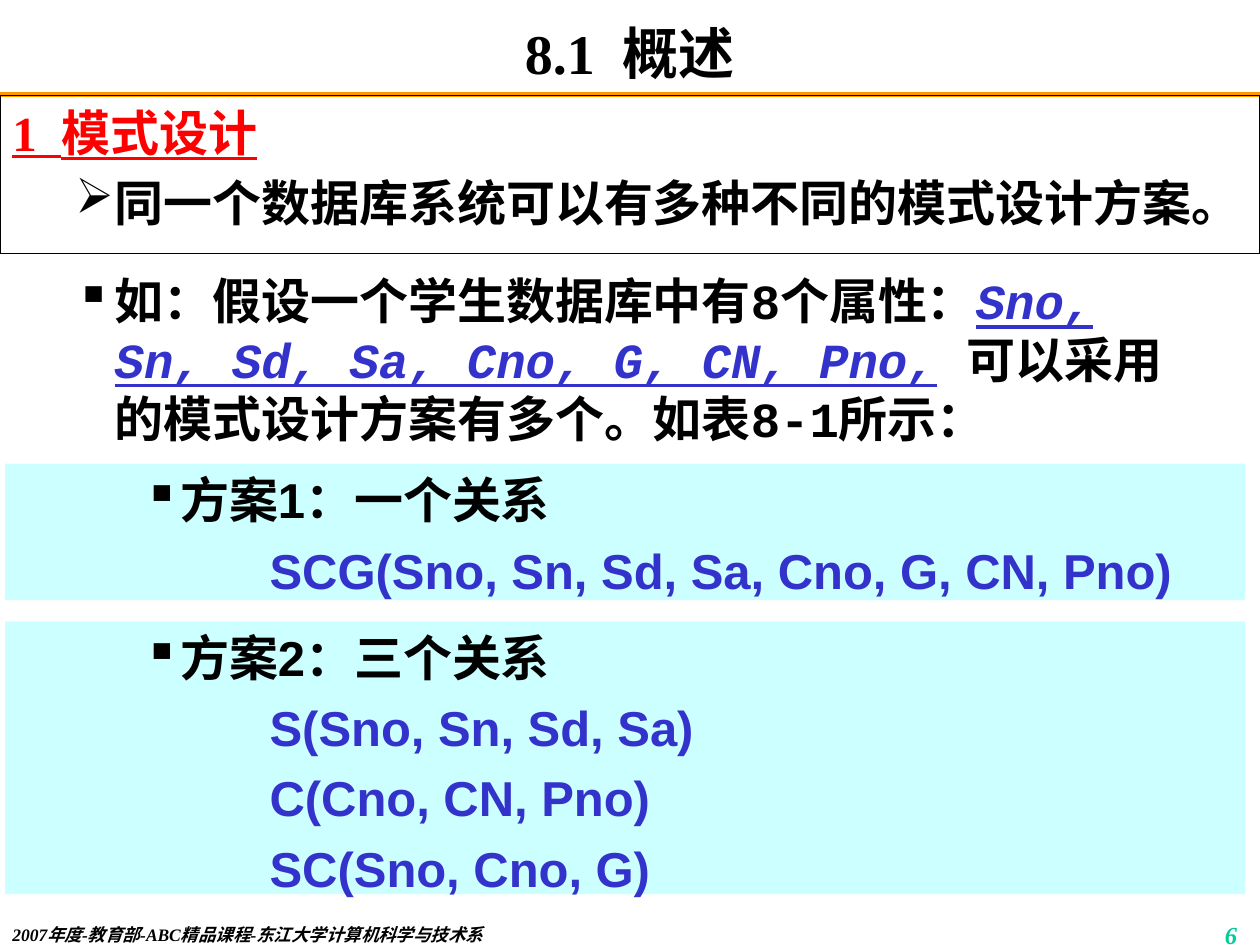
from dataclasses import dataclass

from lxml import etree
from pptx import Presentation
from pptx.dml.color import RGBColor
from pptx.enum import shapes, text
from pptx.oxml import ns
from pptx.util import Pt


@dataclass(frozen=True)
class Theme:
    ink: str = "000000"
    heading: str = "FF0000"
    relation: str = "3333CC"
    panel: str = "CCFFFF"
    rule: str = "FF9900"
    number: str = "00CC99"
    serif: str = "Times New Roman"
    sans: str = "Arial"
    mono: str = "Courier New"
    title_size: float = 32
    body_size: float = 28
    number_size: float = 14
    footer_size: float = 10
    space_before: float = 6.5


THEME = Theme()
# Outline level: (left margin, first-line indent) in points
INDENTS = {0: (27, -27), 1: (58.5, -22.5), 2: (90, -18), 4: (162, -18)}


def style(run, font, size=THEME.body_size, color=THEME.ink, italic=False, underline=False):
    run.font.name = font
    run.font.size = Pt(size)
    run.font.bold = True
    run.font.italic = italic
    run.font.underline = underline
    run.font.color.rgb = RGBColor.from_string(color)


def outline(paragraph, level, bullet=None):
    """Give a paragraph its level, hanging indent, spacing and bullet."""
    paragraph.level = level
    paragraph.alignment = text.PP_ALIGN.LEFT
    paragraph.space_before = Pt(THEME.space_before)
    properties = paragraph._p.get_or_add_pPr()
    margin, indent = INDENTS[level]
    properties.set("marL", str(Pt(margin)))
    properties.set("indent", str(Pt(indent)))
    if bullet:
        etree.SubElement(properties, ns.qn("a:buChar")).set("char", bullet)


def prepare(frame, inset=3.6, anchor=text.MSO_ANCHOR.TOP):
    frame.word_wrap = True
    frame.vertical_anchor = anchor
    frame.margin_top = frame.margin_bottom = Pt(inset)
    return frame


def text_frame(slide, box, **options):
    return prepare(slide.shapes.add_textbox(*map(Pt, box)).text_frame, **options)


def add_line(slide, box, words, align, anchor=text.MSO_ANCHOR.TOP, inset=0, **look):
    """Place one line of serif text, as in the title and the footer."""
    paragraph = text_frame(slide, box, inset=inset, anchor=anchor).paragraphs[0]
    paragraph.text = words
    paragraph.alignment = align
    style(paragraph.runs[0], THEME.serif, **look)


def add_title_rule(slide, left, top, width):
    rule = slide.shapes.add_connector(
        shapes.MSO_CONNECTOR.STRAIGHT, Pt(left), Pt(top), Pt(left + width), Pt(top))
    rule.line.color.rgb = RGBColor.from_string(THEME.rule)
    rule.line.width = Pt(3)
    etree.SubElement(rule._element.spPr, ns.qn("a:effectLst"))


def add_topic(slide, box, heading, statement):
    topic = slide.shapes.add_textbox(*map(Pt, box))
    topic.line.color.rgb = RGBColor.from_string(THEME.ink)
    topic.line.width = Pt(0.75)
    frame = prepare(topic.text_frame)
    frame.text = f"{heading}\n{statement}"
    first, second = frame.paragraphs
    outline(first, 0)
    style(first.runs[0], THEME.serif, color=THEME.heading, underline=True)
    outline(second, 1, "➢")
    style(second.runs[0], THEME.serif)


def add_example(slide, box, lead, attributes, tail):
    paragraph = text_frame(slide, box).paragraphs[0]
    outline(paragraph, 1, "▪")
    for words in (lead, attributes, tail):
        run = paragraph.add_run()
        run.text = words
        marked = words == attributes
        style(run, THEME.mono, color=THEME.relation if marked else THEME.ink,
              italic=marked, underline=marked)


def add_scheme(slide, box, name, relations):
    """Place a panel with one design scheme and its relations."""
    panel = slide.shapes.add_shape(shapes.MSO_SHAPE.RECTANGLE, *map(Pt, box))
    panel.shadow.inherit = False
    panel.fill.solid()
    panel.fill.fore_color.rgb = RGBColor.from_string(THEME.panel)
    panel.line.fill.background()
    frame = prepare(panel.text_frame)
    frame.text = "\n".join([name, *relations])
    scheme, *members = frame.paragraphs
    outline(scheme, 2, "▪")
    style(scheme.runs[0], THEME.sans)
    for member in members:
        outline(member, 4)
        style(member.runs[0], THEME.sans, color=THEME.relation)


def main():
    deck = Presentation()
    deck.slide_width, deck.slide_height = Pt(720), Pt(540)
    slide = deck.slides.add_slide(deck.slide_layouts[6])

    add_title_rule(slide, 0, 54, 720)
    add_line(slide, (564, 522, 150, 18), "6", text.PP_ALIGN.RIGHT, inset=3.6,
             size=THEME.number_size, color=THEME.number, italic=True)
    add_line(slide, (0, 528, 396, 12), "2007年度-教育部-ABC精品课程-东江大学计算机科学与技术系",
             text.PP_ALIGN.LEFT, size=THEME.footer_size, italic=True)
    add_line(slide, (54, 12, 612, 36), "8.1  概述", text.PP_ALIGN.CENTER,
             anchor=text.MSO_ANCHOR.MIDDLE, size=THEME.title_size)
    add_topic(slide, (0, 54.75, 720, 90), "1  模式设计",
              "同一个数据库系统可以有多种不同的模式设计方案。")
    add_example(slide, (0, 151, 690, 102), "如：假设一个学生数据库中有8个属性：",
                "Sno, Sn, Sd, Sa, Cno, G, CN, Pno,",
                " 可以采用的模式设计方案有多个。如表8-1所示：")
    add_scheme(slide, (3, 265, 708.5, 78), "方案1：一个关系",
               ["SCG(Sno, Sn, Sd, Sa, Cno, G, CN, Pno)"])
    add_scheme(slide, (3, 355, 708.5, 156), "方案2：三个关系",
               ["S(Sno, Sn, Sd, Sa)", "C(Cno, CN, Pno)", "SC(Sno, Cno, G)"])
    deck.save("out.pptx")


if __name__ == "__main__":
    main()
